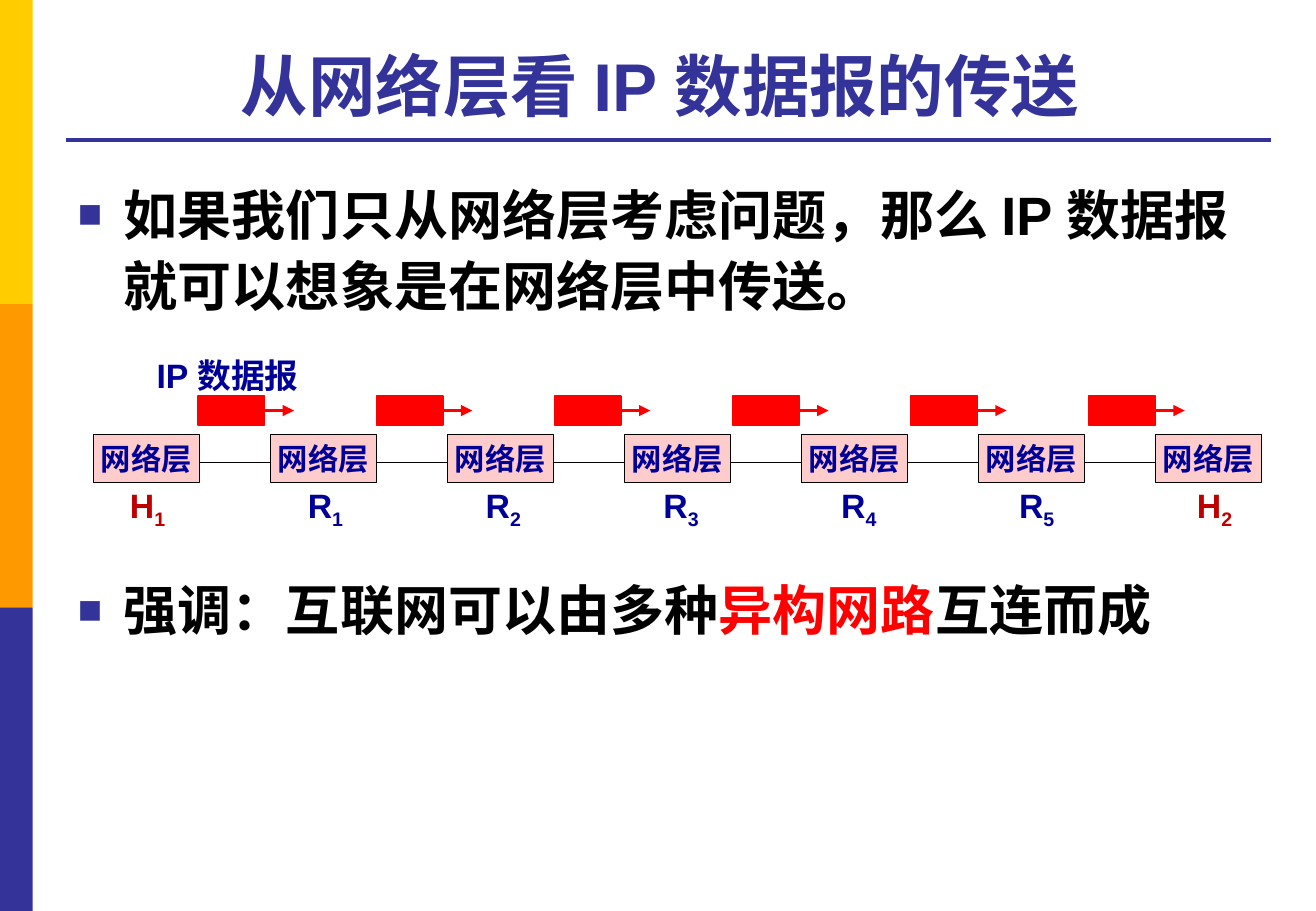
from lxml import etree
from pptx import Presentation
from pptx.dml.color import RGBColor
from pptx.enum.shapes import MSO_CONNECTOR, MSO_SHAPE
from pptx.enum.text import MSO_ANCHOR, MSO_AUTO_SIZE, PP_ALIGN
from pptx.oxml.ns import qn
from pptx.util import Inches, Pt

RECT = MSO_SHAPE.RECTANGLE
STRAIGHT = MSO_CONNECTOR.STRAIGHT
CENTER = PP_ALIGN.CENTER
MIDDLE, BOTTOM, TOP = MSO_ANCHOR.MIDDLE, MSO_ANCHOR.BOTTOM, MSO_ANCHOR.TOP
NO_AUTOFIT = MSO_AUTO_SIZE.NONE

INDIGO, NAVY, DARK_RED = "333399", "000099", "C00000"
RED, BLACK, PINK = "FF0000", "000000", "FFCCCC"


def rgb(color):
    return RGBColor.from_string(color)


def evenly(first, last, count):
    return [first + (last - first) * i / (count - 1) for i in range(count)]


def place(sp, left, top, width, height):
    sp.left, sp.top = Inches(left), Inches(top)
    sp.width, sp.height = Inches(width), Inches(height)


def add_run(p, text, size, color):
    r = p.add_run()
    r.text = text
    r.font.name = "Arial"
    r.font.size = Pt(size)
    r.font.bold = True
    r.font.color.rgb = rgb(color)
    return r


def add_rect(s, left, top, width, height, fill, line=None):
    sp = s.shapes.add_shape(RECT, Inches(left), Inches(top), Inches(width), Inches(height))
    sp.shadow.inherit = False
    sp.fill.solid()
    sp.fill.fore_color.rgb = rgb(fill)
    if line:
        sp.line.color.rgb = rgb(line)
        sp.line.width = Pt(0.75)
    else:
        sp.line.fill.background()
    return sp


def add_line(s, x1, x2, y, color, width, arrow=False):
    c = s.shapes.add_connector(STRAIGHT, Inches(x1), Inches(y), Inches(x2), Inches(y))
    c.line.color.rgb = rgb(color)
    c.line.width = Pt(width)
    if arrow:
        etree.SubElement(c.line._get_or_add_ln(), qn("a:tailEnd"), type="triangle")
    etree.SubElement(c._element.spPr, qn("a:effectLst"))
    return c


def add_label(s, left, top, width, height, wrap):
    tf = s.shapes.add_textbox(Inches(left), Inches(top), Inches(width), Inches(height)).text_frame
    tf.word_wrap = wrap
    return tf.paragraphs[0]


def add_bullet(p):
    pPr = p._p.get_or_add_pPr()
    pPr.set("marL", str(Inches(0.38)))
    pPr.set("indent", str(-Inches(0.38)))
    color = etree.SubElement(pPr, qn("a:buClr"))
    etree.SubElement(color, qn("a:srgbClr"), val=INDIGO)
    etree.SubElement(pPr, qn("a:buSzPct"), val="75000")
    etree.SubElement(pPr, qn("a:buFont"), typeface="Arial")
    etree.SubElement(pPr, qn("a:buChar"), char="■")


def fill_title(s):
    title = s.shapes.title
    place(title, 0.54, 0.21, 9.91, 0.87)
    tf = title.text_frame
    tf.auto_size = NO_AUTOFIT
    tf.vertical_anchor = BOTTOM
    p = tf.paragraphs[0]
    p.alignment = CENTER
    add_run(p, "从网络层看 IP 数据报的传送 ", 40, INDIGO)


def fill_body(s):
    body = s.placeholders[1]
    place(body, 0.54, 1.31, 9.91, 5.4)
    tf = body.text_frame
    tf.auto_size = NO_AUTOFIT
    tf.vertical_anchor = TOP
    tf.margin_top = Inches(0.13)
    points = [
        (0, [("如果我们只从网络层考虑问题，那么 IP 数据报就可以想象是在网络层中传送。", BLACK)]),
        (150, [("强调：互联网可以由多种", BLACK), ("异构网路", RED), ("互连而成", BLACK)]),
    ]
    for i, (space, runs) in enumerate(points):
        p = tf.paragraphs[0] if i == 0 else tf.add_paragraph()
        add_bullet(p)
        p.line_spacing = 1.1
        p.space_before = Pt(space)
        for text, color in runs:
            add_run(p, text, 32, color)


def add_node(s, left):
    sp = add_rect(s, left, 3.58, 0.87, 0.39, PINK, BLACK)
    tf = sp.text_frame
    tf.word_wrap = False
    tf.vertical_anchor = MIDDLE
    p = tf.paragraphs[0]
    p.alignment = CENTER
    add_run(p, "网络层", 18, NAVY)


def add_node_name(s, left, name):
    p = add_label(s, left, 3.94, 0.51, 0.44, False)
    p.alignment = CENTER
    color = DARK_RED if name[0] == "H" else NAVY
    add_run(p, name[0], 20, color)
    r = add_run(p, name[1], 20, color)
    r.font._element.set("baseline", "-25000")


def add_packet(s, left):
    packet = add_rect(s, left, 3.26, 0.55, 0.24, RED, RED)
    arrow = add_line(s, left + 0.55, left + 0.79, 3.38, RED, 2.25, arrow=True)
    arrow.begin_connect(packet, 3)


def main():
    prs = Presentation()
    prs.slide_width, prs.slide_height = Inches(10.83), Inches(7.5)
    s = prs.slides.add_slide(prs.slide_layouts[1])

    for i, color in enumerate(["FFCC00", "FF9900", INDIGO]):
        add_rect(s, 0, 2.5 * i, 0.27, 2.5, color)
    add_line(s, 0.54, 10.46, 1.15, INDIGO, 2.25)
    fill_title(s)
    fill_body(s)

    names = ["H1", "R1", "R2", "R3", "R4", "R5", "H2"]
    add_line(s, 1.4, 9.82, 3.81, BLACK, 0.75)
    for left in evenly(0.77, 9.51, len(names)):
        add_node(s, left)
    add_run(add_label(s, 1.19, 2.87, 1.39, 0.44, True), "IP 数据报", 20, NAVY)
    for left, name in zip(evenly(0.96, 9.74, len(names)), names):
        add_node_name(s, left, name)
    for left in evenly(1.63, 8.96, len(names) - 1):
        add_packet(s, left)

    prs.save("out.pptx")


if __name__ == "__main__":
    main()
